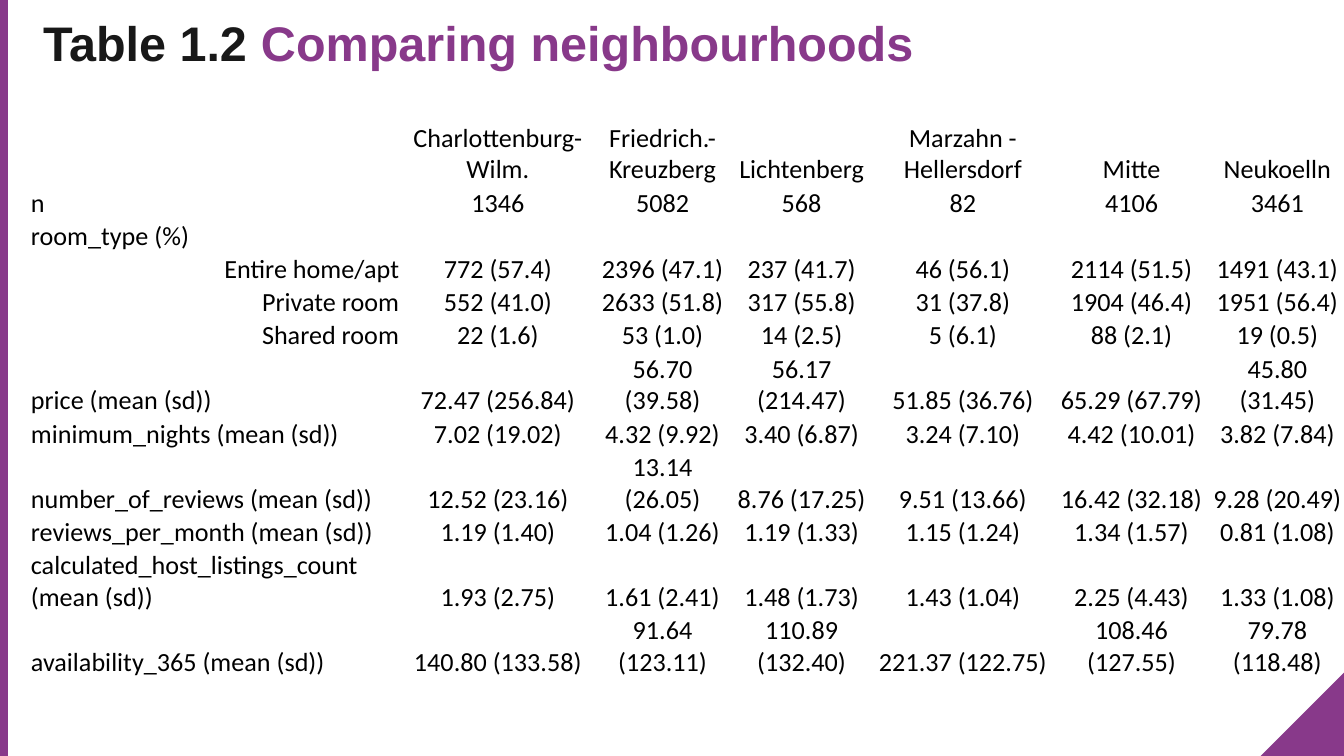
"""Build a slide with a table that compares listings across neighbourhoods."""
from dataclasses import dataclass

from lxml.etree import SubElement
from pptx import Presentation
from pptx.dml.color import RGBColor
from pptx.enum.shapes import MSO_SHAPE
from pptx.enum.text import MSO_ANCHOR, MSO_AUTO_SIZE, PP_ALIGN
from pptx.oxml.ns import qn
from pptx.util import Inches, Pt

COLORS = {"purple": "88398A", "title": "181818", "table": "000000"}
SLIDE_WIDTH = Inches(10)
SLIDE_HEIGHT = SLIDE_WIDTH * 9 // 16
PLAIN_TABLE_STYLE = "{2D5ABB26-0587-4C30-8999-92F81FD0307C}"
TABLE_SIZE = 14
COLUMN_WIDTHS = (2.76, 1.45, 1, 1.07, 1.33, 1.18, 0.99)
HEADER_HEIGHT, ROW_HEIGHT = 0.26, 0.14


@dataclass(frozen=True)
class Decoration:
    """A purple shape that ends at the bottom edge of the slide."""
    kind: MSO_SHAPE
    left: int
    width: int
    height: int
    flipped: bool = False


@dataclass(frozen=True)
class Measure:
    """A table row: its label and one value per neighbourhood."""
    label: str
    values: tuple = ("",) * 6
    label_align: PP_ALIGN = PP_ALIGN.LEFT


CORNER = Inches(0.62)
DECORATIONS = (
    Decoration(MSO_SHAPE.RIGHT_TRIANGLE, SLIDE_WIDTH - CORNER, CORNER, CORNER, flipped=True),
    Decoration(MSO_SHAPE.RECTANGLE, Inches(0), Inches(0.06), SLIDE_HEIGHT),
)

MEASURES = (
    Measure("", ("Charlottenburg-Wilm.", "Friedrich.-Kreuzberg", "Lichtenberg",
                 "Marzahn - Hellersdorf", "Mitte", "Neukoelln")),
    Measure("n", ("1346", "5082", "568", "82", "4106", "3461")),
    Measure("room_type (%)"),
    Measure("Entire home/apt", ("772 (57.4)", "2396 (47.1)", "237 (41.7)",
                                "46 (56.1)", "2114 (51.5)", "1491 (43.1)"), PP_ALIGN.RIGHT),
    Measure("Private room", ("552 (41.0)", "2633 (51.8)", "317 (55.8)",
                             "31 (37.8)", "1904 (46.4)", "1951 (56.4)"), PP_ALIGN.RIGHT),
    Measure("Shared room", ("22 (1.6)", "53 (1.0)", "14 (2.5)",
                            "5 (6.1)", "88 (2.1)", "19 (0.5)"), PP_ALIGN.RIGHT),
    Measure("price (mean (sd))", ("72.47 (256.84)", "56.70 (39.58)", "56.17 (214.47)",
                                  "51.85 (36.76)", "65.29 (67.79)", "45.80 (31.45)")),
    Measure("minimum_nights (mean (sd))", ("7.02 (19.02)", "4.32 (9.92)", "3.40 (6.87)",
                                           "3.24 (7.10)", "4.42 (10.01)", "3.82 (7.84)")),
    Measure("number_of_reviews (mean (sd))", ("12.52 (23.16)", "13.14 (26.05)", "8.76 (17.25)",
                                              "9.51 (13.66)", "16.42 (32.18)", "9.28 (20.49)")),
    Measure("reviews_per_month (mean (sd))", ("1.19 (1.40)", "1.04 (1.26)", "1.19 (1.33)",
                                              "1.15 (1.24)", "1.34 (1.57)", "0.81 (1.08)")),
    Measure("calculated_host_listings_count (mean (sd))",
            ("1.93 (2.75)", "1.61 (2.41)", "1.48 (1.73)",
             "1.43 (1.04)", "2.25 (4.43)", "1.33 (1.08)")),
    Measure("availability_365 (mean (sd))",
            ("140.80 (133.58)", "91.64 (123.11)", "110.89 (132.40)",
             "221.37 (122.75)", "108.46 (127.55)", "79.78 (118.48)")),
)


def write_text(paragraph, text: str, *, size: int, font: str, color: str,
               bold: bool = False, align: PP_ALIGN = PP_ALIGN.LEFT) -> None:
    paragraph.alignment = align
    if not text:
        SubElement(paragraph._p, qn("a:endParaRPr"), sz=str(size * 100))
        return
    run = paragraph.add_run()
    run.text = text
    run.font.size = Pt(size)
    run.font.name = font
    run.font.bold = bold
    run.font.color.rgb = RGBColor.from_string(COLORS[color])


def add_decoration(slide, decoration: Decoration) -> None:
    shape = slide.shapes.add_shape(
        decoration.kind, decoration.left, SLIDE_HEIGHT - decoration.height,
        decoration.width, decoration.height)
    shape.shadow.inherit = False
    shape.fill.solid()
    shape.fill.fore_color.rgb = RGBColor.from_string(COLORS["purple"])
    shape.line.fill.background()
    if decoration.flipped:
        shape.element.spPr.find(qn("a:xfrm")).set("flipH", "1")


def format_title(slide) -> None:
    title = slide.shapes.title
    title.left, title.top = Inches(0.22), Inches(0)
    title.width, title.height = Inches(7.77), Inches(0.94)
    frame = title.text_frame
    frame.auto_size = MSO_AUTO_SIZE.NONE
    frame.word_wrap = True
    frame.vertical_anchor = MSO_ANCHOR.TOP
    frame.margin_left = frame.margin_right = Inches(0.1)
    frame.margin_top = frame.margin_bottom = Inches(0.1)
    for text, color in (("Table 1.2 ", "title"), ("Comparing neighbourhoods", "purple")):
        write_text(frame.paragraphs[0], text, size=26, font="Arial", color=color, bold=True)


def fill_cell(cell, text: str, align: PP_ALIGN) -> None:
    cell.fill.background()
    cell.vertical_anchor = MSO_ANCHOR.BOTTOM
    cell.margin_left = cell.margin_right = cell.margin_top = Inches(0.01)
    cell.margin_bottom = Inches(0)
    write_text(cell.text_frame.paragraphs[0], text, size=TABLE_SIZE,
               font="Calibri", color="table", align=align)


def add_comparison_table(slide) -> None:
    height = HEADER_HEIGHT + ROW_HEIGHT * (len(MEASURES) - 1)
    frame = slide.shapes.add_table(
        len(MEASURES), len(COLUMN_WIDTHS), Inches(0.22), Inches(0.9),
        Inches(sum(COLUMN_WIDTHS)), Inches(height))
    next(frame.element.iter(qn("a:tableStyleId"))).text = PLAIN_TABLE_STYLE
    table = frame.table
    table.first_row = table.horz_banding = False
    for column, width in zip(table.columns, COLUMN_WIDTHS):
        column.width = Inches(width)
    for index, (row, measure) in enumerate(zip(table.rows, MEASURES)):
        row.height = Inches(ROW_HEIGHT if index else HEADER_HEIGHT)
        label_cell, *value_cells = row.cells
        fill_cell(label_cell, measure.label, measure.label_align)
        for cell, value in zip(value_cells, measure.values):
            fill_cell(cell, value, PP_ALIGN.CENTER)


def main() -> None:
    presentation = Presentation()
    presentation.slide_width, presentation.slide_height = SLIDE_WIDTH, SLIDE_HEIGHT
    slide = presentation.slides.add_slide(presentation.slide_layouts[5])
    for decoration in DECORATIONS:
        add_decoration(slide, decoration)
    format_title(slide)
    add_comparison_table(slide)
    presentation.save("out.pptx")


if __name__ == "__main__":
    main()
